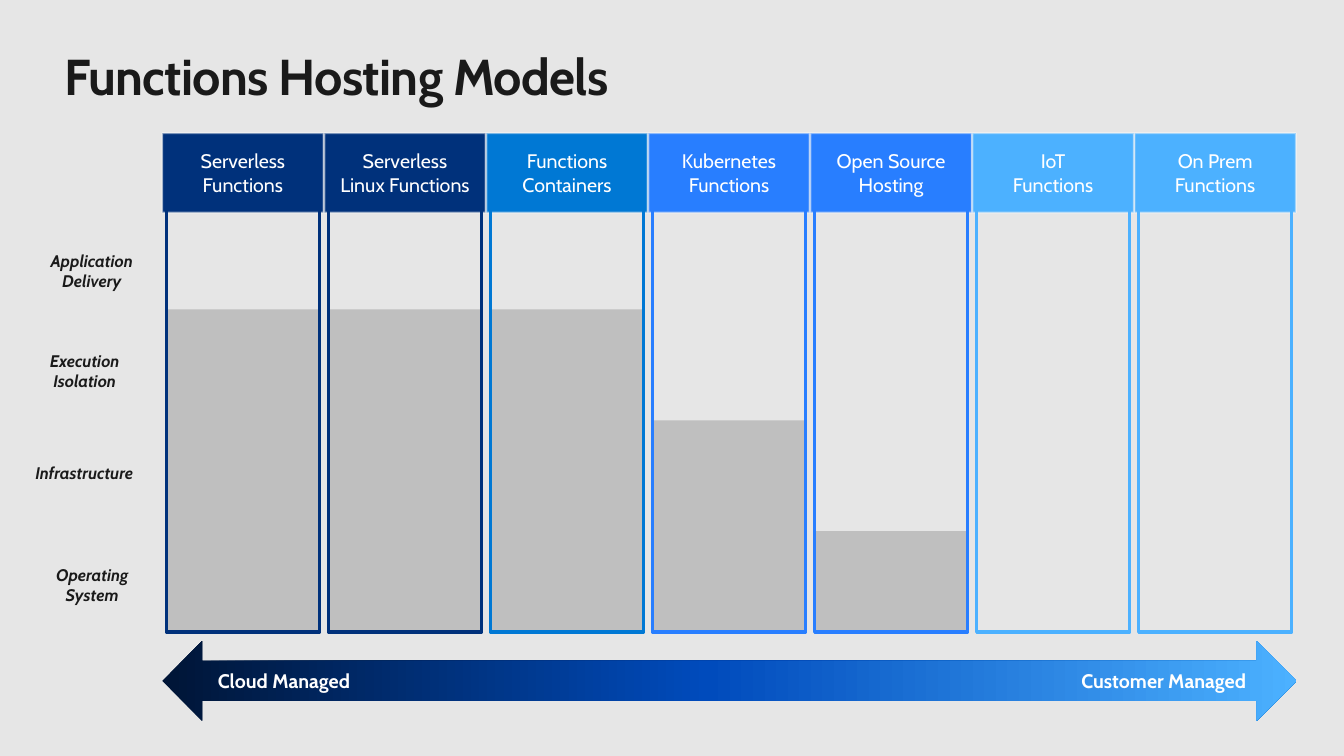
"""Build the slide comparing functions hosting models by managed layer."""
from copy import deepcopy

from lxml import etree
from pptx import Presentation
from pptx import util as u
from pptx.dml.color import RGBColor
from pptx.enum import shapes, text
from pptx.oxml import ns

COLORS = {
    "background": "E6E6E6", "ink": "1A1A1A", "white": "FFFFFF", "border": "F9F9F9",
    "managed": "BFBFBF", "navy": "00317B", "cerulean": "0078D4", "blue": "287EFF",
    "sky": "4CB1FF", "midnight": "001536", "royal": "004BBC",
}
TITLE = "Functions Hosting Models"
MODELS = [
    ("Serverless\nFunctions", "navy", 3),
    ("Serverless\nLinux Functions", "navy", 3),
    ("Functions\nContainers", "cerulean", 3),
    ("Kubernetes\nFunctions", "blue", 2),
    ("Open Source\nHosting", "blue", 1),
    ("IoT\nFunctions", "sky", 0),
    ("On Prem\nFunctions", "sky", 0),
]
LAYERS = [
    ("Application\nDelivery", 0.39, 2.49, 1.04, "CENTER"),
    ("Execution\nIsolation", 0.32, 3.48, 1.04, "CENTER"),
    ("Infrastructure", 0.35, 4.59, 1.19, "LEFT"),
    ("Operating\nSystem", 0.45, 5.6, 0.93, "CENTER"),
]
ENDS = [("Cloud Managed", 2.16, 1.32, "LEFT"), ("Customer Managed", 10.72, 1.64, "RIGHT")]
GRADIENT = [(0, "midnight"), (0.48, "royal"), (1, "sky")]

WIDTH, HEIGHT = 13.33, 7.5
LEFT, RIGHT = 1.61, 12.86
PITCH = (RIGHT - LEFT) / len(MODELS)
HEADER_TOP, HEADER_HEIGHT, HEADER_WIDTH = 1.32, 0.79, 1.6
FRAME_TOP, BOTTOM, FRAME_INSET = 1.99, 6.27, 0.04
LAYER_HEIGHT, LOWEST_LAYER = 1.1, 1.0
ARROW_TOP = 6.36


def rgb(name):
    return RGBColor.from_string(COLORS[name])


def write(shape, content, size=14, color="white", bold=False, italic=False,
          align="CENTER", anchor="TOP", margin=0, wrap=True, spacing=None):
    frame = shape.text_frame
    frame.word_wrap = wrap
    frame.vertical_anchor = text.MSO_ANCHOR[anchor]
    frame.margin_left = frame.margin_right = u.Inches(margin)
    frame.margin_top = frame.margin_bottom = u.Inches(margin)
    frame.text = content
    for paragraph in frame.paragraphs:
        paragraph.alignment = text.PP_ALIGN[align]
        for run in paragraph.runs:
            font = run.font
            font.name, font.size = "Cabin", u.Pt(size)
            font.bold, font.italic = bold, italic
            font.color.rgb = rgb(color)
    if spacing is not None:
        for properties in shape.element.iter(ns.qn("a:rPr")):
            properties.set("spc", str(int(spacing * 100)))


def add_label(slide, content, left, top, width, height, **style):
    box = slide.shapes.add_textbox(*map(u.Inches, (left, top, width, height)))
    write(box, content, **style)


def add_block(parent, left, top, width, height, fill=None, line=None, weight=2.25,
              kind=shapes.MSO_SHAPE.RECTANGLE):
    shape = parent.shapes.add_shape(kind, *map(u.Inches, (left, top, width, height)))
    shape.shadow.inherit = False
    if fill:
        shape.fill.solid()
        shape.fill.fore_color.rgb = rgb(fill)
    else:
        shape.fill.background()
    if line:
        shape.line.color.rgb = rgb(line)
        shape.line.width = u.Pt(weight)
    else:
        shape.line.fill.background()
    return shape


def add_model(slide, column, name, color, managed_layers):
    left = LEFT + column * PITCH
    group = slide.shapes.add_group_shape()
    if managed_layers:
        height = LOWEST_LAYER + (managed_layers - 1) * LAYER_HEIGHT
        add_block(group, left + 0.05, BOTTOM - height, 1.5, height, "managed")
    header = add_block(group, left, HEADER_TOP, HEADER_WIDTH, HEADER_HEIGHT,
                       color, "border", 1.35)
    outline = header.element.spPr.find(ns.qn("a:ln"))
    border = outline.find(".//" + ns.qn("a:srgbClr"))
    etree.SubElement(border, ns.qn("a:alpha")).set("val", "50000")
    write(header, name, anchor="MIDDLE", margin=0.1)
    add_block(group, left + FRAME_INSET, FRAME_TOP, HEADER_WIDTH - 2 * FRAME_INSET,
              BOTTOM - FRAME_TOP, line=color)


def add_arrow(slide):
    arrow = add_block(slide, LEFT, ARROW_TOP, RIGHT - LEFT, HEADER_HEIGHT,
                      kind=shapes.MSO_SHAPE.LEFT_RIGHT_ARROW)
    arrow.fill.gradient()
    arrow.fill.gradient_angle = 0
    stop_list = arrow.element.spPr.find(".//" + ns.qn("a:gsLst"))
    stop_list.append(deepcopy(stop_list[0]))
    for stop, (position, color) in zip(arrow.fill.gradient_stops, GRADIENT):
        stop.position = position
        stop.color.rgb = rgb(color)


def main():
    presentation = Presentation()
    presentation.slide_width, presentation.slide_height = u.Inches(WIDTH), u.Inches(HEIGHT)
    slide = presentation.slides.add_slide(presentation.slide_layouts[6])
    slide.background.fill.solid()
    slide.background.fill.fore_color.rgb = rgb("background")
    add_label(slide, TITLE, 0.64, 0.45, 12.05, 0.61, size=36, color="ink",
              bold=True, align="LEFT", spacing=-0.5)
    add_arrow(slide)
    for name, left, width, align in ENDS:
        add_label(slide, name, left, 6.64, width, 0.24, bold=True, align=align, wrap=False)
    for name, left, top, width, align in LAYERS:
        add_label(slide, name, left, top, width, 0.2 * len(name.split("\n")),
                  size=12, color="ink", bold=True, italic=True, align=align)
    for column, model in enumerate(MODELS):
        add_model(slide, column, *model)
    presentation.save("out.pptx")


if __name__ == "__main__":
    main()
